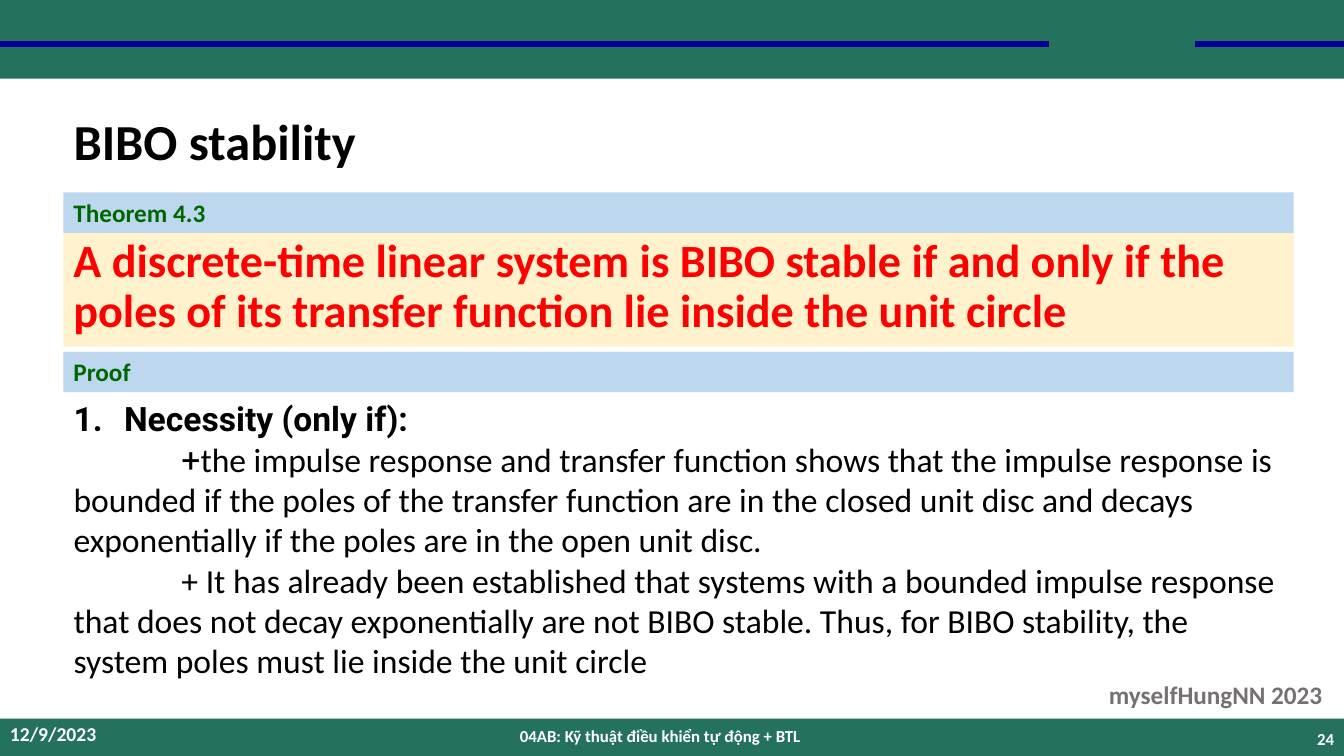
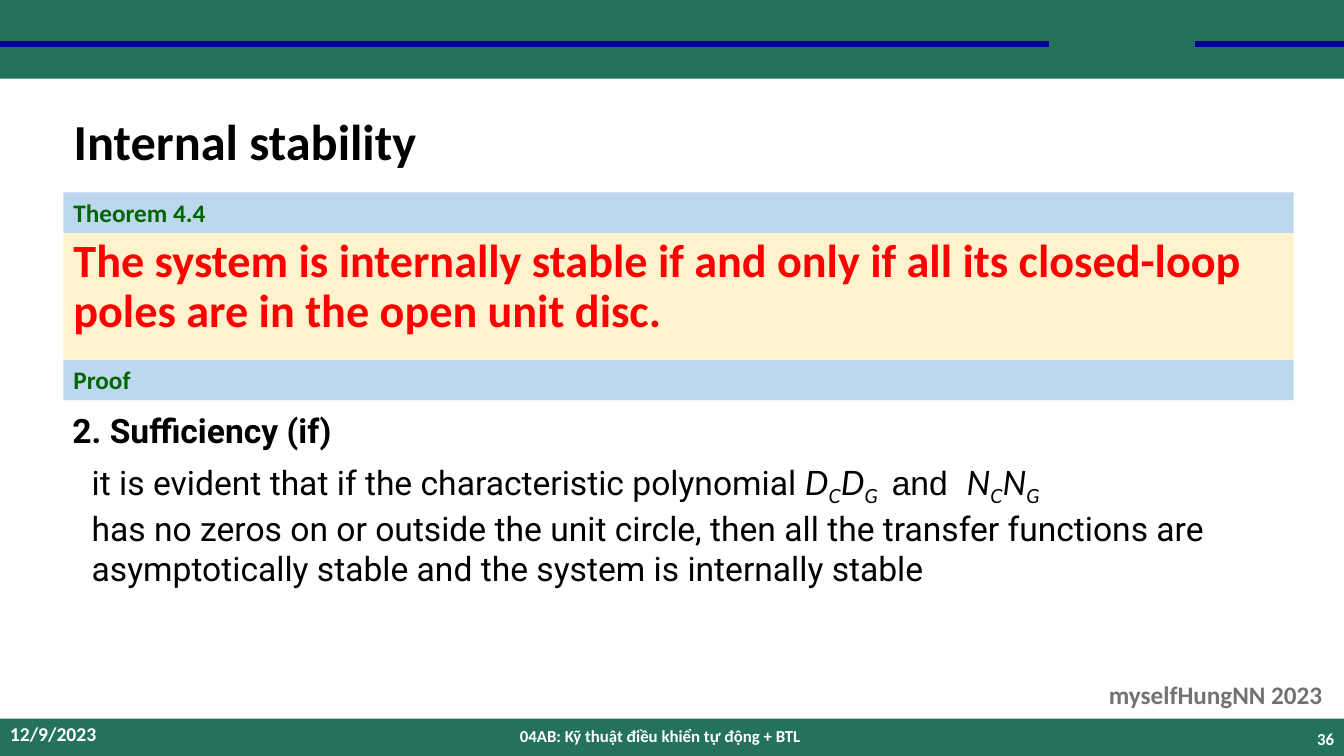
"""Build two lecture slides on the stability of discrete-time systems."""
import pptx
import pptx.util
import pptx.dml.color
import pptx.enum.shapes
import pptx.enum.text
import pptx.oxml.ns
import lxml.etree

Inches = pptx.util.Inches
Pt = pptx.util.Pt
ALIGN = pptx.enum.text.PP_ALIGN
ANCHOR = pptx.enum.text.MSO_ANCHOR

GREEN, NAVY, GREY, WHITE, BLACK = "24725E", "000099", "767171", "FFFFFF", "000000"
LABEL_FILL, LABEL_TEXT = "BDD7EE", "006600"
THEOREM_FILL, THEOREM_TEXT = "FFF2CC", "FF0000"
WIDTH, HEIGHT = 13.33, 7.5
LEFT, CONTENT_WIDTH = 0.63, 12.2
LABEL_TOP, LABEL_HEIGHT = 1.91, 0.4


def color(value):
    return pptx.dml.color.RGBColor.from_string(value)


def assign(target, values):
    for key, value in values.items():
        setattr(target, key, value)


class Deck:
    def __init__(self):
        self.presentation = pptx.Presentation()
        assign(self.presentation, {"slide_width": Inches(WIDTH), "slide_height": Inches(HEIGHT)})
        self.slide = None

    def fill_text(self, shape, paragraphs, size, ink, font="Calibri", bold=True,
                  anchor=ANCHOR.TOP, wrap=True, **paragraph_format):
        frame = shape.text_frame
        assign(frame, {"word_wrap": wrap, "vertical_anchor": anchor,
                       "auto_size": pptx.enum.text.MSO_AUTO_SIZE.NONE})
        layout = {"alignment": ALIGN.LEFT, "space_before": Pt(0), **paragraph_format}
        for index, (runs, margin, indent, bullet) in enumerate(paragraphs):
            paragraph = frame.add_paragraph() if index else frame.paragraphs[0]
            assign(paragraph, layout)
            properties = paragraph._p.get_or_add_pPr()
            properties.set("marL", str(Inches(margin)))
            properties.set("indent", str(Inches(indent)))
            mark = lxml.etree.SubElement(
                properties, pptx.oxml.ns.qn("a:buAutoNum" if bullet else "a:buNone"))
            if bullet:
                mark.set("type", bullet)
            for text, changes in runs:
                run = paragraph.add_run()
                run.text = text
                changes = dict(changes)
                baseline = changes.pop("baseline", None)
                assign(run.font, {"name": font, "size": Pt(size), "bold": bold, **changes})
                run.font.color.rgb = color(ink)
                if baseline:
                    run._r.get_or_add_rPr().set("baseline", str(baseline))

    def line_of_text(self, shape, text, size, ink, **style):
        self.fill_text(shape, [([(text, {})], 0, 0, None)], size, ink, **style)

    def place(self, placeholder, left, top, width, height):
        assign(placeholder, {"left": Inches(left), "top": Inches(top),
                             "width": Inches(width), "height": Inches(height)})
        return placeholder

    def band(self, left, top, width, height, fill):
        band = self.slide.shapes.add_shape(
            pptx.enum.shapes.MSO_SHAPE.RECTANGLE,
            Inches(left), Inches(top), Inches(width), Inches(height))
        band.shadow.inherit = False
        band.fill.solid()
        band.fill.fore_color.rgb = color(fill)
        band.line.fill.background()
        return band

    def rule(self, start, end, y):
        rule = self.slide.shapes.add_connector(
            pptx.enum.shapes.MSO_CONNECTOR.STRAIGHT,
            Inches(start), Inches(y), Inches(end), Inches(y))
        rule.line.color.rgb = color(NAVY)
        rule.line.width = Pt(4.5)
        lxml.etree.SubElement(rule._element.spPr, pptx.oxml.ns.qn("a:effectLst"))

    def text(self, left, top, width, height, text, size, ink, **style):
        box = self.slide.shapes.add_textbox(
            Inches(left), Inches(top), Inches(width), Inches(height))
        self.line_of_text(box, text, size, ink, **style)

    def label(self, top, text):
        band = self.band(LEFT, top, CONTENT_WIDTH, LABEL_HEIGHT, LABEL_FILL)
        self.line_of_text(band, text, 18, LABEL_TEXT)

    def start(self, title, number):
        self.slide = self.presentation.slides.add_slide(self.presentation.slide_layouts[1])
        self.band(0, 0, WIDTH, 0.78, GREEN)
        self.band(0, 7.13, WIDTH, 0.37, GREEN)
        for start, end in ((0, 10.4), (11.85, WIDTH)):
            self.rule(start, end, 0.44)
        heading = self.place(self.slide.shapes.title, LEFT, 0.77, CONTENT_WIDTH, 1.33)
        self.line_of_text(heading, title, 36, BLACK, anchor=ANCHOR.MIDDLE, line_spacing=0.9)
        self.text(10.9, 6.69, 2.4, 0.4, "myselfHungNN 2023", 18, GREY, wrap=False)
        footers = (
            (4.3, 7.1, 4.5, 0.4, "04AB: Kỹ thuật điều khiển tự động + BTL", 12, ALIGN.CENTER),
            (0, 7.1, 3, 0.36, "12/9/2023", 14, ALIGN.LEFT),
            (10.33, 7.13, 3, 0.4, number, 12, ALIGN.RIGHT),
        )
        for *place, text, size, alignment in footers:
            self.text(*place, text, size, WHITE, anchor=ANCHOR.MIDDLE, alignment=alignment)

    def theorem(self, name, statement, height, proof_top):
        top = LABEL_TOP + LABEL_HEIGHT
        panel = self.band(LEFT, top, CONTENT_WIDTH, height, THEOREM_FILL)
        self.line_of_text(panel, statement, 33, THEOREM_TEXT,
                          line_spacing=0.9, space_before=Pt(10))
        self.label(LABEL_TOP, name)
        self.label(proof_top, "Proof")

    def proof(self, left, top, width, height, paragraphs):
        body = self.place(self.slide.placeholders[1], left, top, width, height)
        self.fill_text(body, paragraphs, 24, BLACK, font="Roboto", bold=False)


def main():
    deck = Deck()

    deck.start("BIBO stability", "24")
    deck.theorem(
        "Theorem 4.3",
        "A discrete-time linear system is BIBO stable if and only if the poles of its "
        "transfer function lie inside the unit circle", 1.13, 3.49)
    calibri = {"name": "Calibri"}
    deck.proof(LEFT, 3.9, CONTENT_WIDTH, 2.93, [
        ([("Necessity (only if):", {"bold": True})], 0.5, -0.5, "arabicPeriod"),
        ([("+", {}),
          ("the impulse response and transfer function shows that the impulse response is "
           "bounded if the poles of the transfer function are in the closed unit disc and "
           "decays exponentially if the poles are in the open unit disc.", calibri)],
         0, 1.07, None),
        ([("+ It has already been established that systems with a bounded impulse response "
           "that does not decay exponentially are not BIBO stable. Thus, for BIBO stability, "
           "the system poles must lie inside the unit circle", calibri)], 0, 1.07, None),
    ])

    deck.start("Internal stability", "36")
    deck.theorem(
        "Theorem 4.4",
        "The system is internally stable if and only if all its closed-loop poles are in "
        "the open unit disc.", 1.26, 3.57)
    deck.text(0.62, 4.02, 4.7, 0.5, "2. Sufficiency (if)", 24, BLACK, font="Roboto")
    symbol = {"name": "Lato", "italic": True}
    subscript = {**symbol, "baseline": -25000}
    deck.proof(0.81, 4.53, 12.02, 1.31, [
        ([("it is evident that if the characteristic polynomial ", {}),
          ("D", symbol), ("C", subscript), ("D", symbol), ("G ", subscript),
          (" and  ", {"name": "Arial"}),
          ("N", symbol), ("C", subscript), ("N", symbol), ("G", subscript)], 0, 0, None),
        ([("has no zeros on or outside the unit circle, then all the transfer functions are "
           "asymptotically stable and the system is internally stable", {})], 0, 0, None),
    ])

    deck.presentation.save("out.pptx")


if __name__ == "__main__":
    main()
